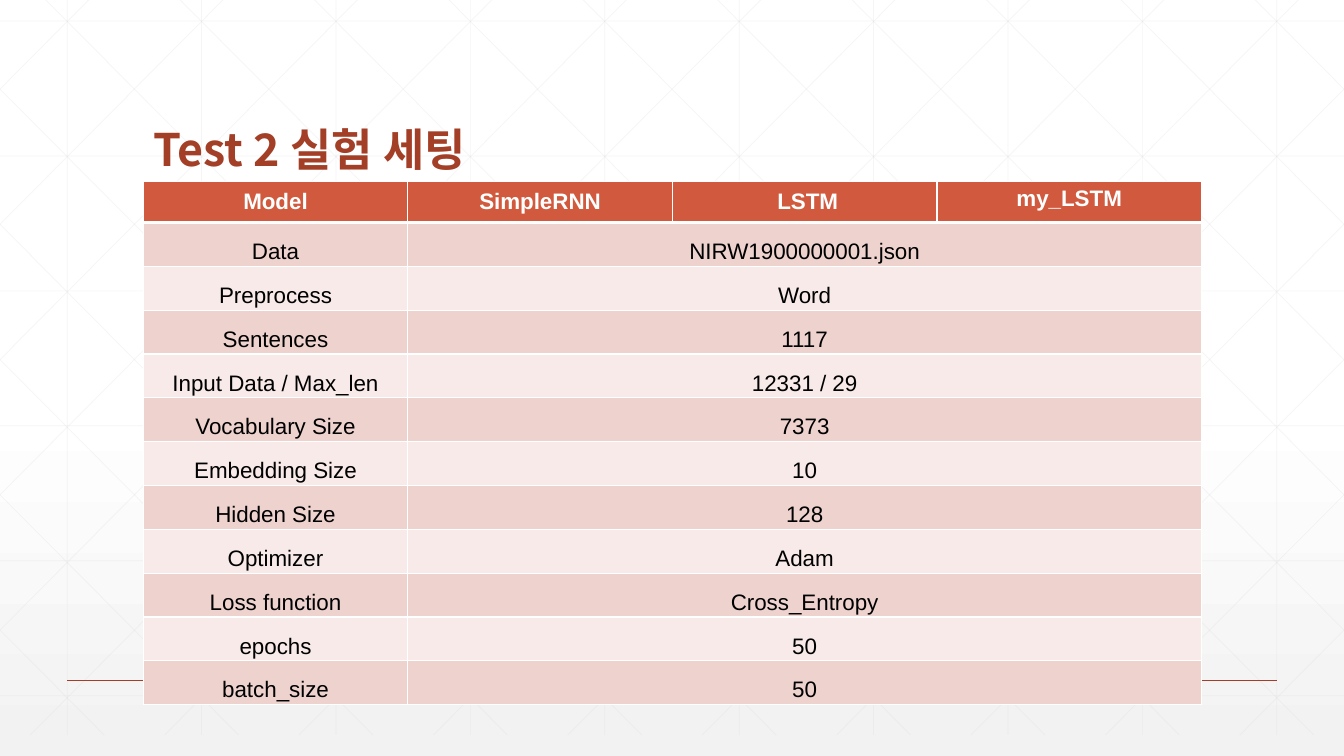
from dataclasses import dataclass

import lxml.etree
import pptx
import pptx.dml.color
import pptx.enum.shapes
import pptx.enum.text
import pptx.oxml.ns
import pptx.util

Cm = pptx.util.Cm
Pt = pptx.util.Pt
qn = pptx.oxml.ns.qn
RGB = pptx.dml.color.RGBColor.from_string


@dataclass(frozen=True)
class Theme:
    white: str = "FFFFFF"
    black: str = "000000"
    shade: str = "F2F2F2"
    grid: str = "D9D9D9"
    accent: str = "A43F27"
    header: str = "D15A3E"
    bands: tuple[str, str] = ("EED2CE", "F7EAE8")
    title_font: str = "Noto Sans CJK KR"
    table_font: str = "Arial"
    title_size: int = 32
    table_size: int = 16


@dataclass(frozen=True)
class Stroke:
    x1: float
    y1: float
    x2: float
    y2: float


@dataclass(frozen=True)
class CellLook:
    fill: str
    color: str
    bold: bool = False
    spacing: float = 1.0
    top: float = 1
    bottom: float = 1


@dataclass(frozen=True)
class Setting:
    name: str
    value: str


THEME = Theme()
WIDTH, HEIGHT = 33.87, 19.05
LEFT, TABLE_TOP, TABLE_WIDTH = 3.61, 4.57, 26.67
HEADER_HEIGHT, ROW_HEIGHT = 1.04, 1.1

MODELS = ["Model", "SimpleRNN", " LSTM", "my_LSTM"]
SETTINGS = [
    Setting("Data", "NIRW1900000001.json"),
    Setting("Preprocess", "Word"),
    Setting("Sentences", "1117"),
    Setting("Input Data / Max_len", "12331 / 29"),
    Setting("Vocabulary Size", "7373"),
    Setting("Embedding Size", "10"),
    Setting("Hidden Size", "128"),
    Setting("Optimizer", "Adam"),
    Setting("Loss function", "Cross_Entropy"),
    Setting("epochs", "50"),
    Setting("batch_size", "50"),
]


def grid_strokes() -> list[Stroke]:
    """Upright, level and mirrored diagonal lines, cut at the slide's sides."""
    top, bottom, run = -0.53, 18.52, 18.93
    step = WIDTH / 10
    slope = (bottom - top) / run
    strokes = [Stroke(step * (k + 0.5), top, step * (k + 0.5), bottom) for k in range(10)]
    strokes += [Stroke(0, 0.53 + 3.4 * k, WIDTH, 0.53 + 3.4 * k) for k in range(6)]
    for k in range(-5, 10):
        start = 0.63 + step * k
        x1, x2 = max(start, 0), min(start + run, WIDTH)
        y1, y2 = (top + (x - start) * slope for x in (x1, x2))
        strokes += [Stroke(x1, y1, x2, y2), Stroke(WIDTH - x1, y1, WIDTH - x2, y2)]
    return strokes


def draw_stroke(shapes, stroke: Stroke, color: str, width: float, opacity: int = 100):
    line = shapes.add_connector(
        pptx.enum.shapes.MSO_CONNECTOR.STRAIGHT,
        Cm(stroke.x1), Cm(stroke.y1), Cm(stroke.x2), Cm(stroke.y2))
    line.line.color.rgb = RGB(color)
    line.line.width = Pt(width)
    properties = line.element.spPr
    if opacity < 100:
        tint = next(properties.iter(qn("a:srgbClr")))
        lxml.etree.SubElement(tint, qn("a:alpha"), val=str(opacity * 1000))
    lxml.etree.SubElement(properties, qn("a:effectLst"))
    return line


def add_span(para, text: str, font: str, size: int, color: str, bold: bool):
    span = para.add_run()
    span.text = text
    span.font.name = font
    span.font.size = Pt(size)
    span.font.bold = bold
    span.font.color.rgb = RGB(color)
    return span


def draw_background(page) -> None:
    fill = page.background.fill
    fill.gradient()
    fill.gradient_angle = 270
    for stop, position, color in zip(
            fill.gradient_stops, (0.53, 1.0), (THEME.white, THEME.shade)):
        stop.position = position
        stop.color.rgb = RGB(color)


def format_title(box) -> None:
    box.left, box.top, box.width, box.height = Cm(LEFT), Cm(1.4), Cm(TABLE_WIDTH), Cm(3.17)
    frame = box.text_frame
    frame.word_wrap = True
    frame.auto_size = pptx.enum.text.MSO_AUTO_SIZE.NONE
    frame.vertical_anchor = pptx.enum.text.MSO_ANCHOR.BOTTOM
    para = frame.paragraphs[0]
    para.alignment = pptx.enum.text.PP_ALIGN.LEFT
    para.line_spacing = 0.9
    span = add_span(para, "Test 2 실험 세팅", THEME.title_font, THEME.title_size,
                    THEME.accent, True)
    lxml.etree.SubElement(span.font._element, qn("a:ea"), typeface=THEME.title_font)


def style_cell(cell, look: CellLook) -> None:
    properties = cell._tc.get_or_add_tcPr()
    for side, width in zip("LRTB", (1, 1, look.top, look.bottom)):
        border = lxml.etree.SubElement(properties, qn(f"a:ln{side}"), w=str(Pt(width)))
        solid = lxml.etree.SubElement(border, qn("a:solidFill"))
        lxml.etree.SubElement(solid, qn("a:srgbClr"), val=THEME.white)
    cell.fill.solid()
    cell.fill.fore_color.rgb = RGB(look.fill)


def center_in_cell(cell) -> None:
    cell.vertical_anchor = pptx.enum.text.MSO_ANCHOR.MIDDLE
    cell.margin_left = cell.margin_right = Cm(0.18)
    cell.margin_top = cell.margin_bottom = Cm(0.05)


def write_cell(cell, text: str, look: CellLook) -> None:
    para = cell.text_frame.paragraphs[0]
    para.alignment = pptx.enum.text.PP_ALIGN.CENTER
    para.line_spacing = look.spacing
    add_span(para, text, THEME.table_font, THEME.table_size, look.color, look.bold)


def draw_table(page) -> None:
    table = page.shapes.add_table(
        len(SETTINGS) + 1, len(MODELS), Cm(LEFT), Cm(TABLE_TOP), Cm(TABLE_WIDTH),
        Cm(HEADER_HEIGHT + ROW_HEIGHT * len(SETTINGS))).table
    table.horz_banding = False

    # Header row; the last heading keeps the default top anchor
    table.rows[0].height = Cm(HEADER_HEIGHT)
    header = CellLook(THEME.header, THEME.white, bold=True, bottom=3)
    for column, model in enumerate(MODELS):
        cell = table.cell(0, column)
        style_cell(cell, header)
        write_cell(cell, model, header)
        if column < len(MODELS) - 1:
            center_in_cell(cell)

    # Setting rows, each value shared by all models
    for row, setting in enumerate(SETTINGS, start=1):
        table.rows[row].height = Cm(ROW_HEIGHT)
        look = CellLook(THEME.bands[(row - 1) % 2], THEME.black, spacing=1.6,
                        top=3 if row == 1 else 1)
        for column in range(len(MODELS)):
            style_cell(table.cell(row, column), look)
        table.cell(row, 1).merge(table.cell(row, len(MODELS) - 1))
        for column, text in enumerate((setting.name, setting.value)):
            center_in_cell(table.cell(row, column))
            write_cell(table.cell(row, column), text, look)


def main() -> None:
    deck = pptx.Presentation()
    deck.slide_width, deck.slide_height = Cm(WIDTH), Cm(HEIGHT)
    page = deck.slides.add_slide(deck.slide_layouts[5])

    # Backdrop
    draw_background(page)
    grid = page.shapes.add_group_shape()
    for stroke in grid_strokes():
        draw_stroke(grid.shapes, stroke, THEME.grid, 0.5, opacity=25)
    footer_line = draw_stroke(page.shapes, Stroke(1.69, 17.15, 32.18, 17.15), THEME.accent, 1)

    # Title, in front of the backdrop
    title = page.shapes.title
    format_title(title)
    footer_line.element.addnext(title.element)

    # Settings table
    draw_table(page)
    deck.save("out.pptx")


if __name__ == "__main__":
    main()
